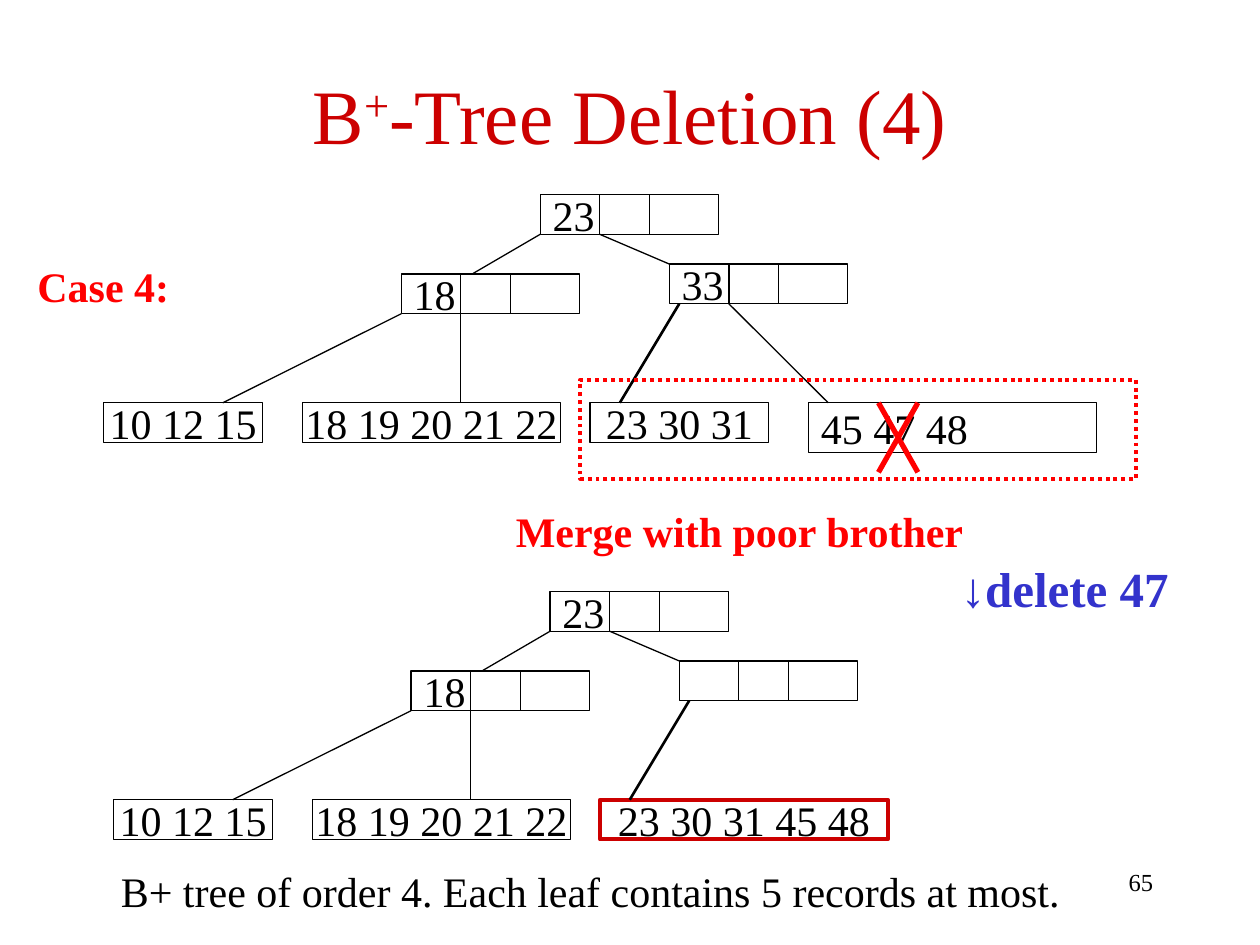
from dataclasses import dataclass

from lxml import etree
from pptx import Presentation
from pptx.dml.color import RGBColor
from pptx.enum.dml import MSO_LINE
from pptx.enum.shapes import MSO_CONNECTOR, MSO_SHAPE
from pptx.enum.text import MSO_ANCHOR, PP_ALIGN
from pptx.oxml.ns import qn
from pptx.util import Pt

LEFT, CENTER, RIGHT = PP_ALIGN.LEFT, PP_ALIGN.CENTER, PP_ALIGN.RIGHT
MIDDLE, TOP = MSO_ANCHOR.MIDDLE, MSO_ANCHOR.TOP
RECTANGLE, STRAIGHT = MSO_SHAPE.RECTANGLE, MSO_CONNECTOR.STRAIGHT
DOTTED = MSO_LINE.ROUND_DOT
TITLE_ONLY = 5


@dataclass(frozen=True)
class Theme:
    font: str = "Times New Roman"
    black: str = "000000"
    red: str = "FF0000"
    dark_red: str = "CC0000"
    blue: str = "3333CC"
    title_size: float = 44
    action_size: float = 28
    body_size: float = 24
    number_size: float = 14
    thin: float = 0.75
    medium: float = 1.5
    thick: float = 2.25
    cross: float = 3


THEME = Theme()


@dataclass(frozen=True)
class Box:
    left: float
    top: float
    width: float
    height: float


@dataclass(frozen=True)
class Node:
    """A tree node; inner nodes are divided into three key slots."""
    box: Box
    text: str
    inner: bool = False
    align: PP_ALIGN = CENTER
    color: str = THEME.black
    weight: float = THEME.thin


@dataclass(frozen=True)
class Edge:
    """A link whose ends are offsets from the left of parent and child."""
    parent: str
    start: float
    child: str
    end: float
    weight: float = THEME.thin


@dataclass(frozen=True)
class Label:
    box: Box
    text: str
    size: float = THEME.body_size
    color: str = THEME.black
    bold: bool = False
    align: PP_ALIGN = CENTER


NODE_WIDTH, NODE_HEIGHT = 102, 22.7
SLOT_DIVIDERS = (34, 62.4)
LEAF_TOP = 230.2
TREE_SHIFT = (5.67, 226.8)


def inner_node(left: float, top: float, text: str) -> Node:
    return Node(Box(left, top, NODE_WIDTH, NODE_HEIGHT), text, True, LEFT)


def leaf(left: float, width: float, text: str, height: float = NODE_HEIGHT, **style) -> Node:
    return Node(Box(left, LEAF_TOP, width, height), text, **style)


SHARED_NODES = {
    "leaf 1": leaf(59.3, 90.7, "10 12 15"),
    "leaf 2": leaf(172.8, 147.5, "18 19 20 21 22"),
    "left": inner_node(229.3, 156.6, "18"),
    "root": inner_node(308.7, 111.2, "23"),
}
BEFORE = SHARED_NODES | {
    "leaf 3": leaf(337.2, NODE_WIDTH, "23 30 31"),
    "leaf 4": leaf(462, 164.7, "45 47 48", 28.35, align=LEFT),
    "right": inner_node(382.5, 150.9, "33"),
}
AFTER = SHARED_NODES | {
    "leaf 3": leaf(337.2, 164.4, "23 30 31 45 48", color=THEME.dark_red, weight=THEME.thick),
    "right": inner_node(382.5, 150.9, ""),
}
SHARED_EDGES = [
    Edge("root", 0, "left", 40.5),
    Edge("root", 34, "right", 0),
    Edge("left", 0, "leaf 1", 68),
    Edge("left", 34, "leaf 2", 90.5),
    Edge("right", 5.67, "leaf 3", 17, THEME.medium),
]
BEFORE_EDGES = SHARED_EDGES + [Edge("right", 34, "leaf 4", 11.3)]

MERGE_AREA = Box(331.6, 217, 317.5, 56.7)
CROSS = Box(502, 230.2, 22.5, 39.7)
LABELS = [
    Label(Box(516.2, 491.8, 149.8, 36), "65", THEME.number_size, align=RIGHT),
    Label(Box(513.4, 315.4, 190, 41), "↓delete 47", THEME.action_size, THEME.blue, True),
    Label(Box(9, 145.4, 100, 36), "Case 4:", color=THEME.red, bold=True),
    Label(Box(282.6, 285.1, 280, 36), "Merge with poor brother", color=THEME.red, bold=True),
    Label(Box(52.4, 491, 570, 36), "B+ tree of order 4. Each leaf contains 5 records at most."),
]


def place(box: Box) -> list:
    return [Pt(value) for value in (box.left, box.top, box.width, box.height)]


def format_font(font, size: float, color: str, bold: bool = False) -> None:
    for name, value in {"name": THEME.font, "size": Pt(size), "bold": bold}.items():
        setattr(font, name, value)
    font.color.rgb = RGBColor.from_string(color)


def write_text(shape, label: Label, anchor: MSO_ANCHOR) -> None:
    frame = shape.text_frame
    frame_format = {
        "word_wrap": False, "vertical_anchor": anchor,
        "margin_left": Pt(7.2), "margin_right": Pt(7.2),
        "margin_top": Pt(3.6), "margin_bottom": Pt(3.6),
    }
    for name, value in frame_format.items():
        setattr(frame, name, value)
    paragraph = frame.paragraphs[0]
    paragraph.text = label.text
    paragraph.alignment = label.align
    format_font(paragraph.font, label.size, label.color, label.bold)


def add_label(slide, label: Label) -> None:
    write_text(slide.shapes.add_textbox(*place(label.box)), label, TOP)


def add_outline(slide, box: Box, color: str, weight: float):
    shape = slide.shapes.add_shape(RECTANGLE, *place(box))
    shape.shadow.inherit = False
    shape.fill.background()
    shape.line.color.rgb = RGBColor.from_string(color)
    shape.line.width = Pt(weight)
    return shape


def add_line(slide, start: tuple[float, float], end: tuple[float, float],
             weight: float = THEME.thin, color: str = THEME.black) -> None:
    line = slide.shapes.add_connector(STRAIGHT, *(Pt(value) for value in (*start, *end)))
    line.line.color.rgb = RGBColor.from_string(color)
    line.line.width = Pt(weight)
    etree.SubElement(line._element.spPr, qn("a:effectLst"))


def add_tree(slide, nodes: dict[str, Node], edges: list[Edge],
             shift: tuple[float, float] = (0, 0)) -> None:
    right, down = shift
    for node in nodes.values():
        box = Box(node.box.left + right, node.box.top + down, node.box.width, node.box.height)
        shape = add_outline(slide, box, node.color, node.weight)
        if node.text:
            write_text(shape, Label(box, node.text, align=node.align), MIDDLE)
        for offset in SLOT_DIVIDERS if node.inner else ():
            x = box.left + offset
            add_line(slide, (x, box.top), (x, box.top + box.height))
    for edge in edges:
        parent, child = nodes[edge.parent].box, nodes[edge.child].box
        add_line(slide,
                 (parent.left + edge.start + right, parent.top + parent.height + down),
                 (child.left + edge.end + right, child.top + down), edge.weight)


def add_title(slide) -> None:
    title = slide.shapes.title
    title.left, title.top, title.width, title.height = place(Box(36, 28.8, 648, 72))
    title.text_frame.vertical_anchor = MIDDLE
    paragraph = title.text_frame.paragraphs[0]
    paragraph.alignment = CENTER
    for text, baseline in (("B", 0), ("+", 30000), ("-Tree Deletion (4)", 0)):
        run = paragraph.add_run()
        run.text = text
        format_font(run.font, THEME.title_size, THEME.dark_red)
        run._r.get_or_add_rPr().set("baseline", str(baseline))


def main() -> None:
    presentation = Presentation()
    presentation.slide_width, presentation.slide_height = Pt(720), Pt(540)
    slide = presentation.slides.add_slide(presentation.slide_layouts[TITLE_ONLY])
    add_title(slide)
    add_tree(slide, BEFORE, BEFORE_EDGES)
    add_tree(slide, AFTER, SHARED_EDGES, TREE_SHIFT)
    cross_right, cross_bottom = CROSS.left + CROSS.width, CROSS.top + CROSS.height
    for start, end in ((CROSS.top, cross_bottom), (cross_bottom, CROSS.top)):
        add_line(slide, (CROSS.left, start), (cross_right, end), THEME.cross, THEME.red)
    add_outline(slide, MERGE_AREA, THEME.red, THEME.thick).line.dash_style = DOTTED
    for label in LABELS:
        add_label(slide, label)
    presentation.save("out.pptx")


if __name__ == "__main__":
    main()
